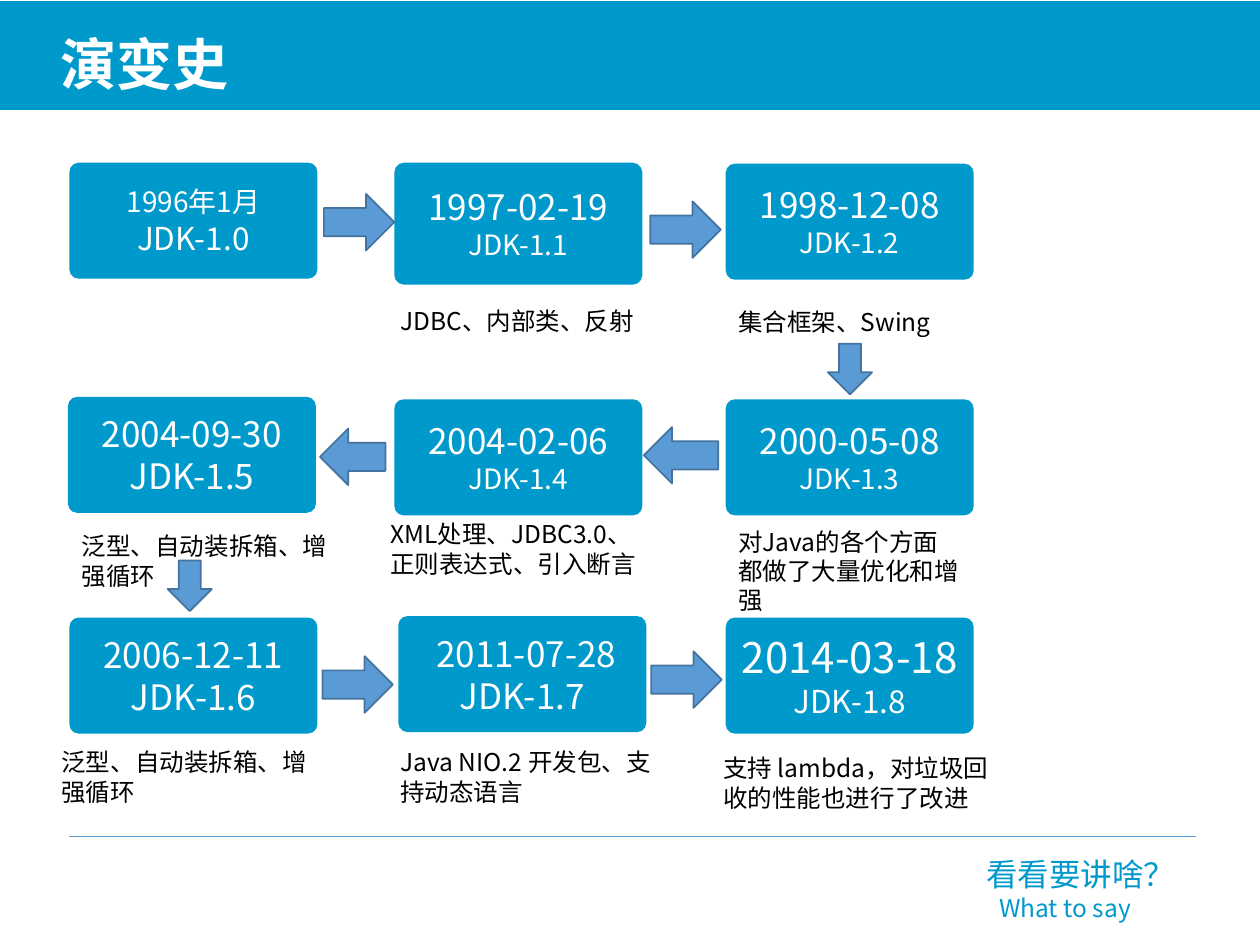
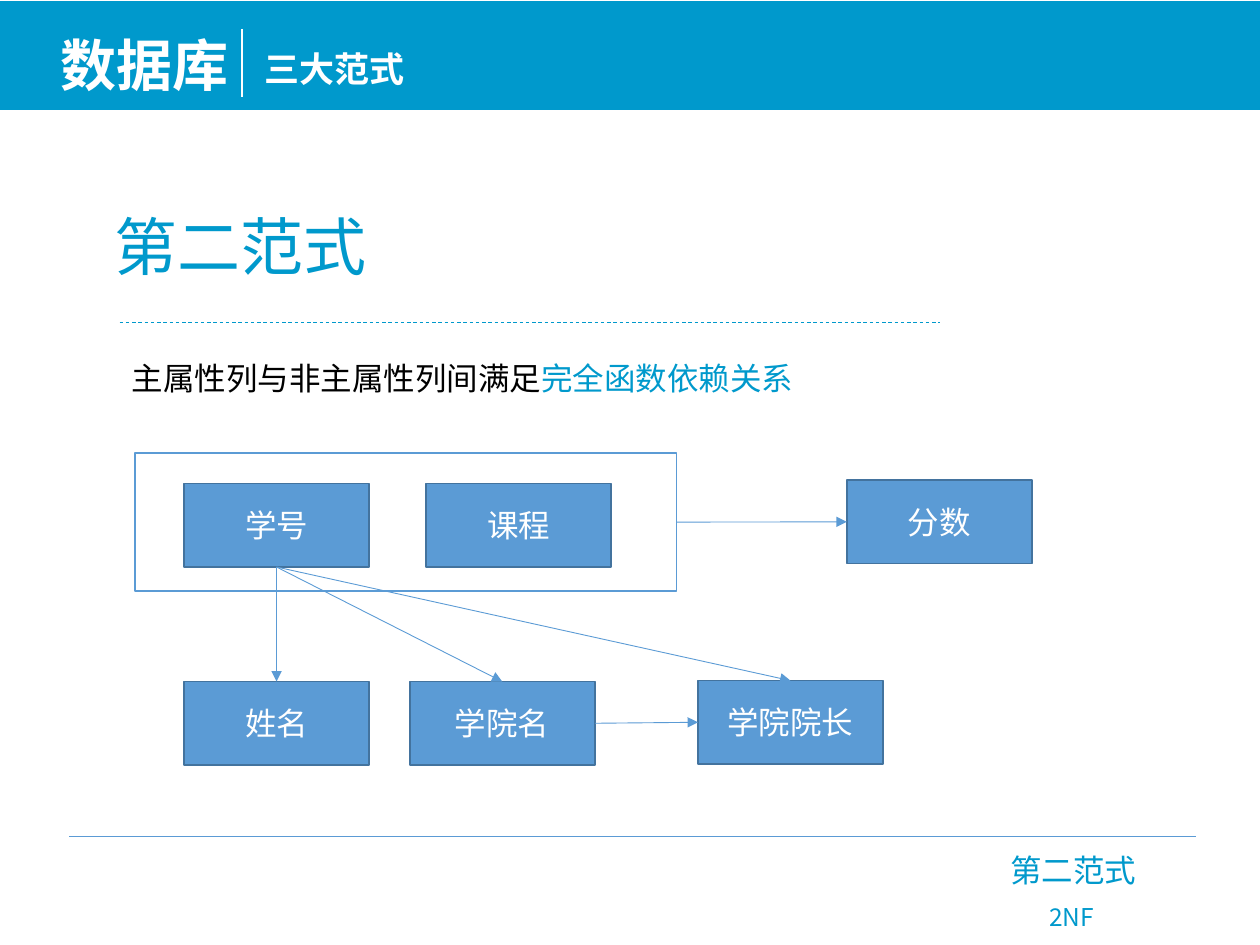
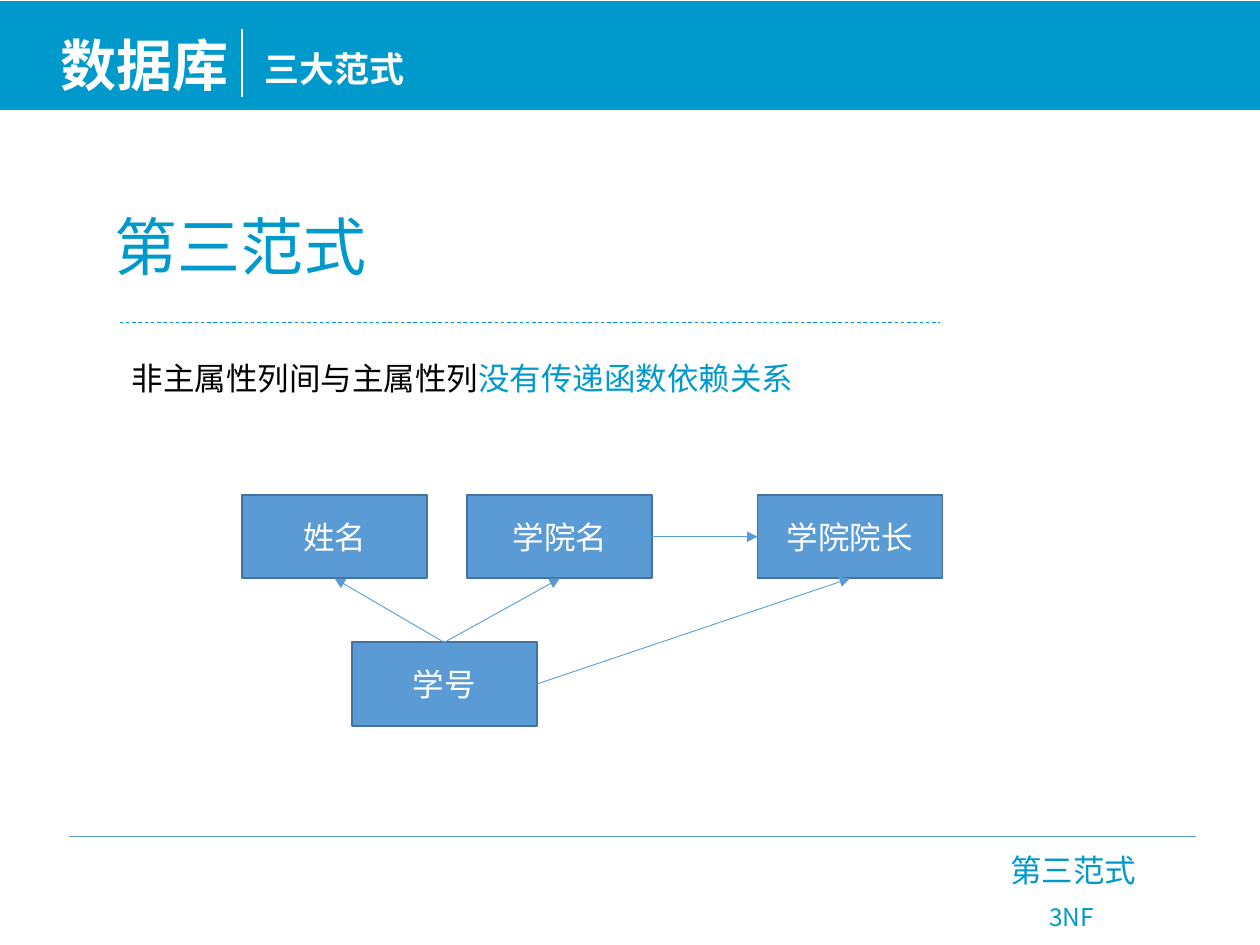
from pptx import Presentation
from pptx import util as u
from pptx.dml.color import RGBColor
from pptx.enum import dml, lang, shapes, text
from pptx.oxml import ns
from lxml import etree

BRAND, SKY, EDGE, WHITE, BLACK = "0099CC", "5B9BD5", "43739E", "FFFFFF", "000000"
FONT = "Noto Sans CJK SC"
KIND = shapes.MSO_SHAPE
rgb = RGBColor.from_string


def add(page, kind, at, lines=(), fill=None, line=None, corner=None, bold=False, wrap=True, font=FONT):
    left, top, width, height = [u.Cm(value) for value in at]
    if kind == "title":
        box = page.shapes.title
        for name, value in {"left": left, "top": top, "width": width, "height": height}.items():
            setattr(box, name, value)
    elif kind == "text":
        box = page.shapes.add_textbox(left, top, width, height)
    else:
        box = page.shapes.add_shape(kind, left, top, width, height)
        box.shadow.inherit = False
        box.fill.solid()
        box.fill.fore_color.rgb = rgb(fill)
        if line:
            box.line.color.rgb = rgb(line)
            box.line.width = u.Pt(1)
        else:
            box.line.fill.background()
        if corner is not None:
            box.adjustments[0] = corner
    plain = kind in ("title", "text")
    frame_format = {
        "word_wrap": wrap,
        "vertical_anchor": text.MSO_ANCHOR.TOP if plain else text.MSO_ANCHOR.MIDDLE,
        "auto_size": text.MSO_AUTO_SIZE.SHAPE_TO_FIT_TEXT if plain else text.MSO_AUTO_SIZE.NONE,
    }
    for name, value in frame_format.items():
        setattr(box.text_frame, name, value)
    for index, spans in enumerate(lines):
        para = box.text_frame.add_paragraph() if index else box.text_frame.paragraphs[0]
        para.alignment = text.PP_ALIGN.LEFT if plain else text.PP_ALIGN.CENTER
        for words, size, color in spans:
            span = para.add_run()
            span.text = words
            span_format = {"size": u.Pt(size), "bold": bold, "name": font,
                           "language_id": lang.MSO_LANGUAGE_ID.SIMPLIFIED_CHINESE}
            for name, value in span_format.items():
                setattr(span.font, name, value)
            span.font.color.rgb = rgb(color)
            etree.SubElement(span.font._element, ns.qn("a:ea"), typeface=FONT)
    return box


def add_line(page, ends, color, width=0.5, dash=None, joins=None):
    line = page.shapes.add_connector(shapes.MSO_CONNECTOR.STRAIGHT, *[u.Cm(end) for end in ends])
    line.line.color.rgb = rgb(color)
    line.line.width = u.Pt(width)
    if dash:
        line.line.dash_style = dash
    properties = line.element.spPr
    if joins:
        start, start_side, stop, stop_side = joins
        line.begin_connect(start, start_side)
        line.end_connect(stop, stop_side)
        etree.SubElement(properties.find(ns.qn("a:ln")), ns.qn("a:tailEnd"), type="triangle")
    etree.SubElement(properties, ns.qn("a:effectLst"))


deck = Presentation()
deck.slide_width, deck.slide_height = u.Cm(25.4), u.Cm(19.05)

pages = []
for title, title_at, footers in [
    ("演变史", (0.97, 0.46, 7.11, 1.63),
     [("看看要讲啥？", 18, (19.63, 17.12, 4.37, 1.02)), ("What to say", 14, (19.89, 17.88, 3.35, 0.86))]),
    *[("数据库", (0.97, 0.48, 4.14, 1.63),
       [(name, 18, (20.12, 17.04, 3.07, 1.02)), (short, 14, (20.9, 18.06, 1.47, 0.86))])
      for name, short in [("第二范式", "2NF"), ("第三范式", "3NF")]],
]:
    page = deck.slides.add_slide(deck.slide_layouts[5])
    band = add(page, KIND.ROUNDED_RECTANGLE, (0, 0.03, 25.4, 2.18), fill=BRAND, line=BRAND, corner=0)
    heading = add(page, "title", title_at, [[(title, 32, WHITE)]], bold=True)
    heading.element.addprevious(band.element)
    add_line(page, (1.4, 16.87, 24.1, 16.87), SKY)
    for words, size, at in footers:
        add(page, "text", at, [[(words, size, BRAND)]], wrap=False)
    pages.append(page)

history, *normal_forms = pages

for left, top, height, date, date_size, version, version_size in [
    (1.4, 3.28, 2.34, "1996年1月", 16, "1.0", 18),
    (7.95, 3.28, 2.46, "1997-02-19", 20, "1.1", 16),
    (14.63, 3.3, 2.34, "1998-12-08", 20, "1.2", 16),
    (14.63, 8.05, 2.34, "2000-05-08", 20, "1.3", 16),
    (7.95, 8.05, 2.34, "2004-02-06", 20, "1.4", 16),
    (1.37, 8, 2.34, "2004-09-30", 20, "1.5", 20),
    (1.4, 12.45, 2.34, "2006-12-11", 20, "1.6", 20),
    (8.03, 12.42, 2.34, " 2011-07-28", 20, "1.7", 20),
    (14.63, 12.45, 2.34, "2014-03-18", 24, "1.8", 18),
]:
    add(history, KIND.ROUNDED_RECTANGLE, (left, top, 5, height),
        [[(date, date_size, WHITE)], [("JDK-" + version, version_size, WHITE)]],
        fill=BRAND, corner=0.08, wrap=False)

for left, top, width, height, note in [
    (7.82, 6.05, 5.44, 0.86, "JDBC、内部类、反射"),
    (14.63, 6.07, 5, 0.86, "集合框架、Swing"),
    (14.63, 10.49, 5, 1.45, "对Java的各个方面都做了大量优化和增强"),
    (7.62, 10.34, 5.82, 1.45, "XML处理、JDBC3.0、正则表达式、引入断言"),
    (1.4, 10.59, 5.82, 1.45, "泛型、自动装拆箱、增强循环"),
    (0.99, 14.94, 5.82, 1.45, "泛型、自动装拆箱、增强循环"),
    (7.82, 14.94, 5.82, 1.45, "Java NIO.2 开发包、支持动态语言"),
    (14.33, 15.06, 6.12, 1.45, "支持 lambda，对垃圾回收的性能也进行了改进"),
]:
    add(history, "text", (left, top, width, height), [[(note, 14, BLACK)]])

for kind, width, height, spots in [
    (KIND.RIGHT_ARROW, 1.42, 1.14, [(6.53, 3.91), (13.11, 4.06), (6.5, 13.23), (13.13, 13.13)]),
    (KIND.DOWN_ARROW, 0.89, 1.02, [(16.69, 6.93), (3.38, 11.3)]),
    (KIND.LEFT_ARROW, 1.5, 1.14, [(12.98, 8.61)]),
    (KIND.LEFT_ARROW, 1.32, 1.14, [(6.45, 8.64)]),
]:
    for left, top in spots:
        add(history, kind, (left, top, width, height), fill=SKY, line=EDGE)

for page, name, rule, key_words, group, nodes, links in [
    (normal_forms[0], "第二范式", "主属性列与非主属性列间满足", "完全函数依赖关系", (2.72, 9.14, 10.92, 2.77),
     {"学号": (3.71, 9.75), "课程": (8.59, 9.75), "分数": (17.07, 9.68),
      "姓名": (3.71, 13.74), "学院名": (8.26, 13.74), "学院院长": (14.07, 13.72)},
     [("group", 3, "分数", 1), ("学号", 2, "姓名", 0), ("学号", 2, "学院名", 0),
      ("学号", 2, "学院院长", 0), ("学院名", 3, "学院院长", 1)]),
    (normal_forms[1], "第三范式", "非主属性列间与主属性列", "没有传递函数依赖关系", None,
     {"姓名": (4.88, 9.98), "学院名": (9.42, 9.98), "学院院长": (15.27, 9.98), "学号": (7.09, 12.95)},
     [("学院名", 3, "学院院长", 1), ("学号", 0, "姓名", 2), ("学号", 0, "学院名", 2),
      ("学号", 3, "学院院长", 2)]),
]:
    add(page, "text", (5.08, 0.84, 5.66, 1.12), [[("三大范式", 20, WHITE)]], bold=True)
    add_line(page, (4.88, 0.58, 4.88, 1.96), WHITE, width=1)
    add(page, "text", (2.06, 4.06, 5.64, 1.8), [[(name, 36, BRAND)]], wrap=False)
    add_line(page, (2.41, 6.5, 18.95, 6.5), BRAND, dash=dml.MSO_LINE.DASH)
    add(page, "text", (2.41, 7.11, 14.48, 1.02), [[(rule, 18, BLACK), (key_words, 18, BRAND)]])
    boxes = {}
    if group:
        boxes["group"] = add(page, KIND.RECTANGLE, group, fill=WHITE, line=SKY)
    for label, (left, top) in nodes.items():
        boxes[label] = add(page, KIND.RECTANGLE, (left, top, 3.73, 1.68), [[(label, 18, WHITE)]],
                           fill=SKY, line=EDGE, font="Calibri")
    for start, start_side, stop, stop_side in links:
        add_line(page, (0, 0, 0, 0), SKY, joins=(boxes[start], start_side, boxes[stop], stop_side))

deck.save("out.pptx")
